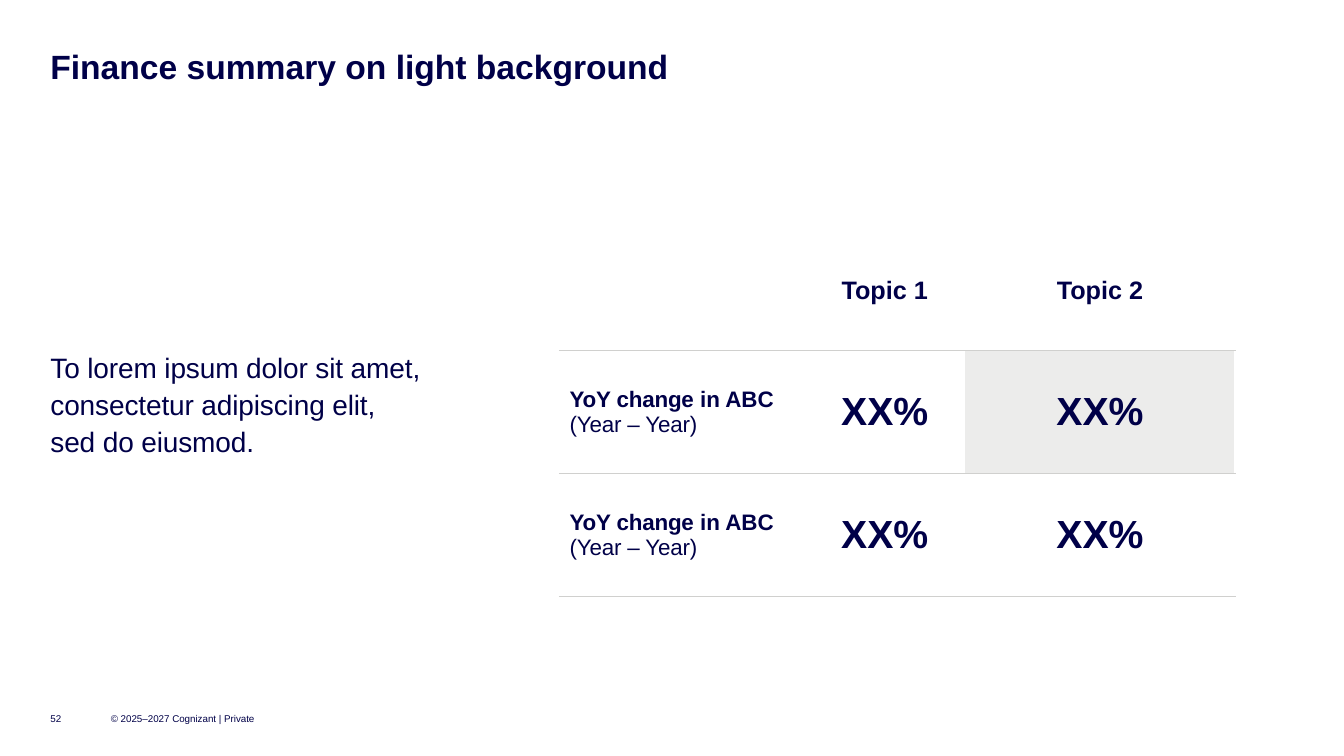
from dataclasses import dataclass

from lxml.etree import SubElement
from pptx import Presentation
from pptx.dml.color import RGBColor
from pptx.enum.text import MSO_ANCHOR, MSO_AUTO_SIZE, PP_ALIGN
from pptx.oxml.ns import qn
from pptx.util import Inches, Pt

NAVY = RGBColor(0x00, 0x00, 0x48)
RULE_GREY = RGBColor(0xD0, 0xD0, 0xCE)
HIGHLIGHT_GREY = RGBColor(0xEC, 0xEC, 0xEB)
FONT = "Arial"
TIGHT = -10
COLUMN_WIDTHS = (2.43, 1.59, 2.68)
ROW_HEIGHTS = (1.2, 1.22, 1.22)
HIGHLIGHTED_CELL = (1, 2)


@dataclass(frozen=True)
class Span:
    text: str
    size: float
    bold: bool = False
    spacing: int = 0
    break_after: bool = False


@dataclass(frozen=True)
class TextBlock:
    left: float
    top: float
    width: float
    height: float
    spans: tuple[Span, ...]
    anchor: MSO_ANCHOR = MSO_ANCHOR.TOP
    line_spacing: float = 1.0


METRIC_LABEL = (
    Span("YoY change ", 16, True, TIGHT),
    Span("in ABC", 16, True, break_after=True),
    Span("(Year – Year)", 16, spacing=TIGHT),
)
METRIC_VALUE = (Span("XX%", 28, True),)
METRIC_ROW = (METRIC_LABEL, METRIC_VALUE, METRIC_VALUE)
HEADER_ROW = ((), (Span("Topic 1", 18, True),), (Span("Topic 2", 18, True),))
FINANCE_ROWS = (HEADER_ROW, METRIC_ROW, METRIC_ROW)

TITLE = TextBlock(
    0.5, 0.5, 12.33, 0.36,
    (Span("Finance summary on light background", 24, True),),
    line_spacing=0.9,
)
SUMMARY = TextBlock(
    0.5, 3.44, 3.91, 1.08,
    (
        Span("To lorem ipsum dolor sit amet, consectetur adipiscing elit,", 20,
             spacing=TIGHT, break_after=True),
        Span("sed do eiusmod.", 20, spacing=TIGHT),
    ),
    line_spacing=1.1,
)
FOOTERS = (
    TextBlock(0.5, 7, 0.4, 0.25, (Span("52", 7),), MSO_ANCHOR.MIDDLE),
    TextBlock(1.1, 7, 1.5, 0.25, (Span("© 2025–2027 Cognizant | Private", 7),),
              MSO_ANCHOR.MIDDLE),
)


def add_spans(para, spans: tuple[Span, ...]) -> None:
    for span in spans:
        run = para.add_run()
        run.text = span.text
        run.font.name = FONT
        run.font.size = Pt(span.size)
        run.font.bold = span.bold
        run.font.color.rgb = NAVY
        if span.spacing:
            run._r.get_or_add_rPr().set("spc", str(span.spacing))
        if span.break_after:
            para.add_line_break()


def fill_box(box, block: TextBlock) -> None:
    box.left, box.top = Inches(block.left), Inches(block.top)
    box.width, box.height = Inches(block.width), Inches(block.height)
    frame = box.text_frame
    frame.word_wrap = True
    frame.auto_size = MSO_AUTO_SIZE.NONE
    frame.vertical_anchor = block.anchor
    frame.margin_left = frame.margin_right = 0
    frame.margin_top = frame.margin_bottom = 0
    para = frame.paragraphs[0]
    para.alignment = PP_ALIGN.LEFT
    para.line_spacing = block.line_spacing
    para.space_before = Pt(0)
    add_spans(para, block.spans)


def remove_bullet(para) -> None:
    properties = para._p.get_or_add_pPr()
    properties.set("marL", "0")
    properties.set("indent", "0")
    SubElement(properties, qn("a:buNone"))


def add_border(cell, side: str) -> None:
    line = SubElement(cell._tc.get_or_add_tcPr(), qn(f"a:{side}"), w=str(Pt(1)))
    fill = SubElement(line, qn("a:solidFill"))
    SubElement(fill, qn("a:srgbClr"), val=str(RULE_GREY))


def add_finance_table(page) -> None:
    table = page.shapes.add_table(
        len(ROW_HEIGHTS), len(COLUMN_WIDTHS), Inches(5.55), Inches(2.28),
        Inches(sum(COLUMN_WIDTHS)), Inches(sum(ROW_HEIGHTS)),
    ).table
    table.first_row = False
    table.horz_banding = False
    for column, width in zip(table.columns, COLUMN_WIDTHS):
        column.width = Inches(width)
    for row, height in zip(table.rows, ROW_HEIGHTS):
        row.height = Inches(height)
    for row_index, row_spans in enumerate(FINANCE_ROWS):
        for column_index, spans in enumerate(row_spans):
            cell = table.cell(row_index, column_index)
            cell.vertical_anchor = MSO_ANCHOR.MIDDLE
            cell.margin_left = cell.margin_right = Inches(0.1)
            cell.margin_top = cell.margin_bottom = Inches(0.1)
            if row_index > 0:
                add_border(cell, "lnT")
            add_border(cell, "lnB")
            if (row_index, column_index) == HIGHLIGHTED_CELL:
                cell.fill.solid()
                cell.fill.fore_color.rgb = HIGHLIGHT_GREY
            else:
                cell.fill.background()
            para = cell.text_frame.paragraphs[0]
            para.alignment = PP_ALIGN.CENTER if column_index else PP_ALIGN.LEFT
            add_spans(para, spans)


def main() -> None:
    deck = Presentation()
    deck.slide_width, deck.slide_height = Inches(13.33), Inches(7.5)
    page = deck.slides.add_slide(deck.slide_layouts[1])
    fill_box(page.shapes.title, TITLE)
    summary = page.placeholders[1]
    fill_box(summary, SUMMARY)
    remove_bullet(summary.text_frame.paragraphs[0])
    add_finance_table(page)
    for footer in FOOTERS:
        fill_box(page.shapes.add_textbox(0, 0, 0, 0), footer)
    deck.save("out.pptx")


if __name__ == "__main__":
    main()
